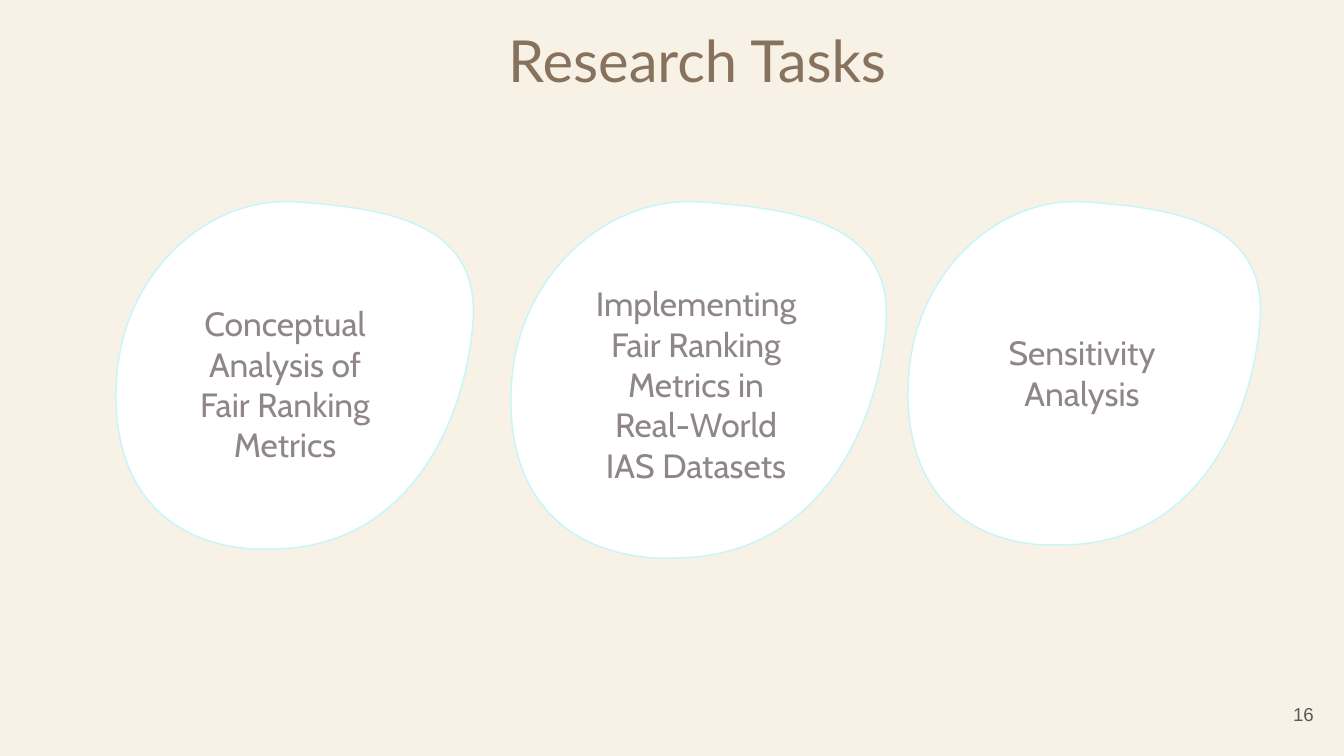
from lxml import etree
from pptx import Presentation
from pptx import util as u
from pptx.dml.color import RGBColor
from pptx.enum import text
from pptx.oxml.ns import qn

CREAM = RGBColor(0xF8, 0xF1, 0xE5)
WHITE = RGBColor(0xFF, 0xFF, 0xFF)
AQUA = RGBColor(0xC4, 0xF6, 0xFA)
BROWN = RGBColor(0x87, 0x72, 0x5D)
MAUVE = RGBColor(0x8F, 0x86, 0x88)
GRAY = RGBColor(0x59, 0x59, 0x59)

SCALE = 914400 * 10 / 1344
PEBBLE_W, PEBBLE_H = 265, 258
START = (100, 258)
CURVES = [
    [(25, 252), (-6, 198), (0, 128)],
    [(6, 53), (67, -5), (134, 0)],
    [(201, 5), (271, 15), (265, 90)],
    [(259, 165), (216, 258), (115, 258)],
    [(110, 258), (105, 258), START],
]
TASKS = [
    ("Conceptual Analysis of Fair Ranking Metrics", (117, 202, 356, 347), (171, 290)),
    ("Implementing Fair Ranking Metrics in Real-World IAS Datasets", (512, 202, 374, 356), (582, 270)),
    ("Sensitivity Analysis", (909, 202, 351, 343), (968, 319)),
]


def px(n):
    return u.Emu(round(n * SCALE))


class Deck:
    def __init__(self, wide, high):
        self.prs = Presentation()
        self.prs.slide_width, self.prs.slide_height = px(wide), px(high)
        self.slide = self.prs.slides.add_slide(self.prs.slide_layouts[6])
        fill = self.slide.background.fill
        fill.solid()
        fill.fore_color.rgb = CREAM

    def label(self, words, box, font, size, color,
              align=text.PP_ALIGN.CENTER, anchor=text.MSO_ANCHOR.TOP):
        frame = self.slide.shapes.add_textbox(*map(px, box)).text_frame
        frame.word_wrap = True
        frame.vertical_anchor = anchor
        frame.margin_left = frame.margin_right = u.Inches(0.1)
        frame.margin_top = frame.margin_bottom = u.Inches(0.1)
        para = frame.paragraphs[0]
        para.alignment = align
        run = para.add_run()
        run.text = words
        run.font.name, run.font.size = font, u.Pt(size)
        run.font.color.rgb = color

    def pebble(self, box):
        left, top, wide, high = box

        def place(point):
            return px(point[0] * wide / PEBBLE_W), px(point[1] * high / PEBBLE_H)

        pen = self.slide.shapes.build_freeform(*place(START))
        pen.add_line_segments([place(curve[-1]) for curve in CURVES], close=True)
        shape = pen.convert_to_shape(px(left), px(top))
        lines = list(shape.element.iter(qn("a:lnTo")))
        for line, curve in zip(lines, CURVES):
            bend = etree.Element(qn("a:cubicBezTo"))
            for point in curve:
                x, y = place(point)
                etree.SubElement(bend, qn("a:pt"), x=str(int(x)), y=str(int(y)))
            line.getparent().replace(line, bend)
        shape.shadow.inherit = False
        shape.fill.solid()
        shape.fill.fore_color.rgb = WHITE
        shape.line.color.rgb = AQUA
        shape.line.width = u.Pt(0.75)


def main():
    deck = Deck(1344, 756)
    deck.label("Research Tasks", (375, 11, 644, 85), "Lato", 31, BROWN)
    for _, box, _ in TASKS:
        deck.pebble(box)
    for words, _, spot in TASKS:
        deck.label(words, (*spot, 228, 118), "Cabin", 18, MAUVE)
    deck.label("16", (1246, 685, 81, 58), "Arial", 10, GRAY,
               text.PP_ALIGN.RIGHT, text.MSO_ANCHOR.MIDDLE)
    deck.prs.save("out.pptx")


if __name__ == "__main__":
    main()
